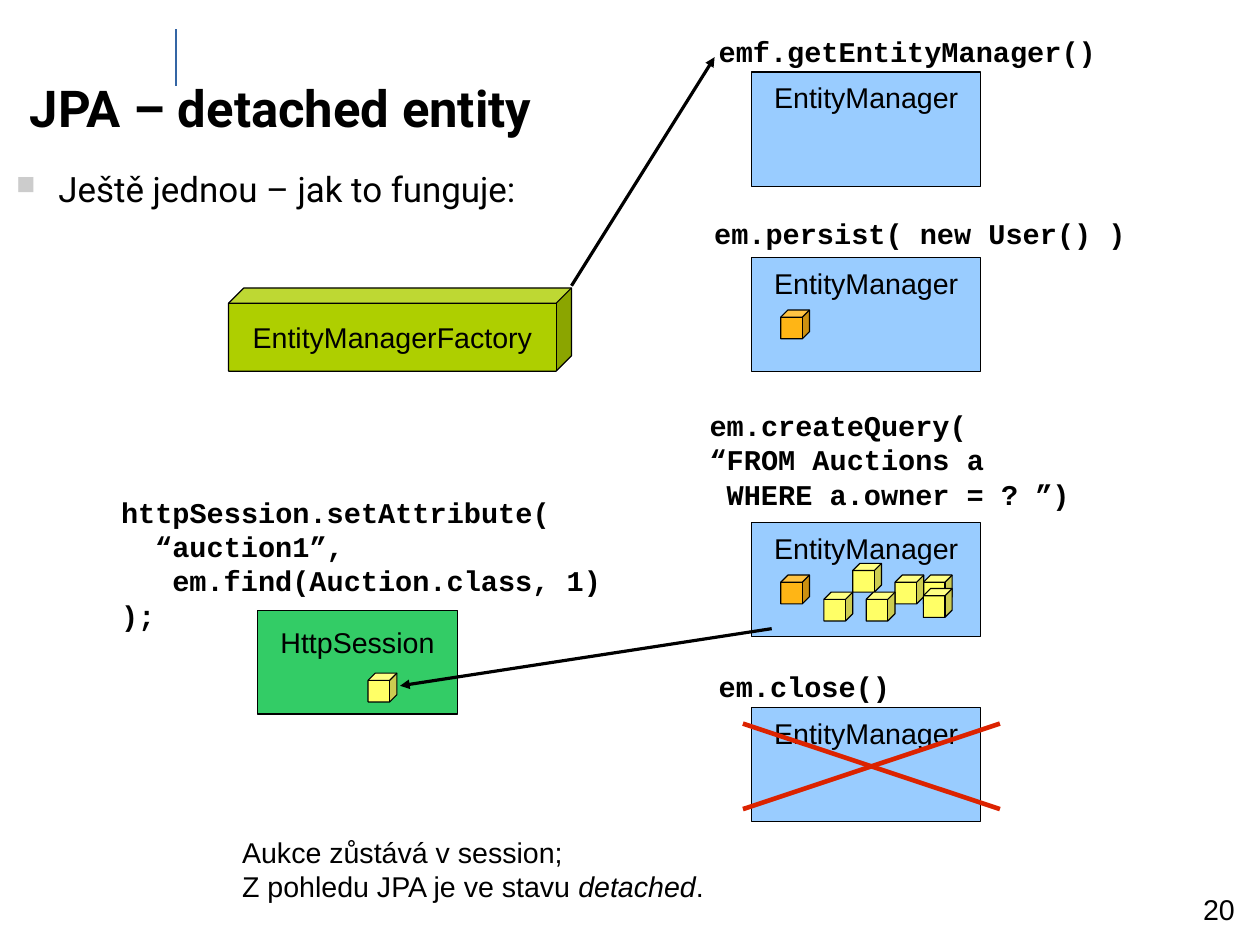
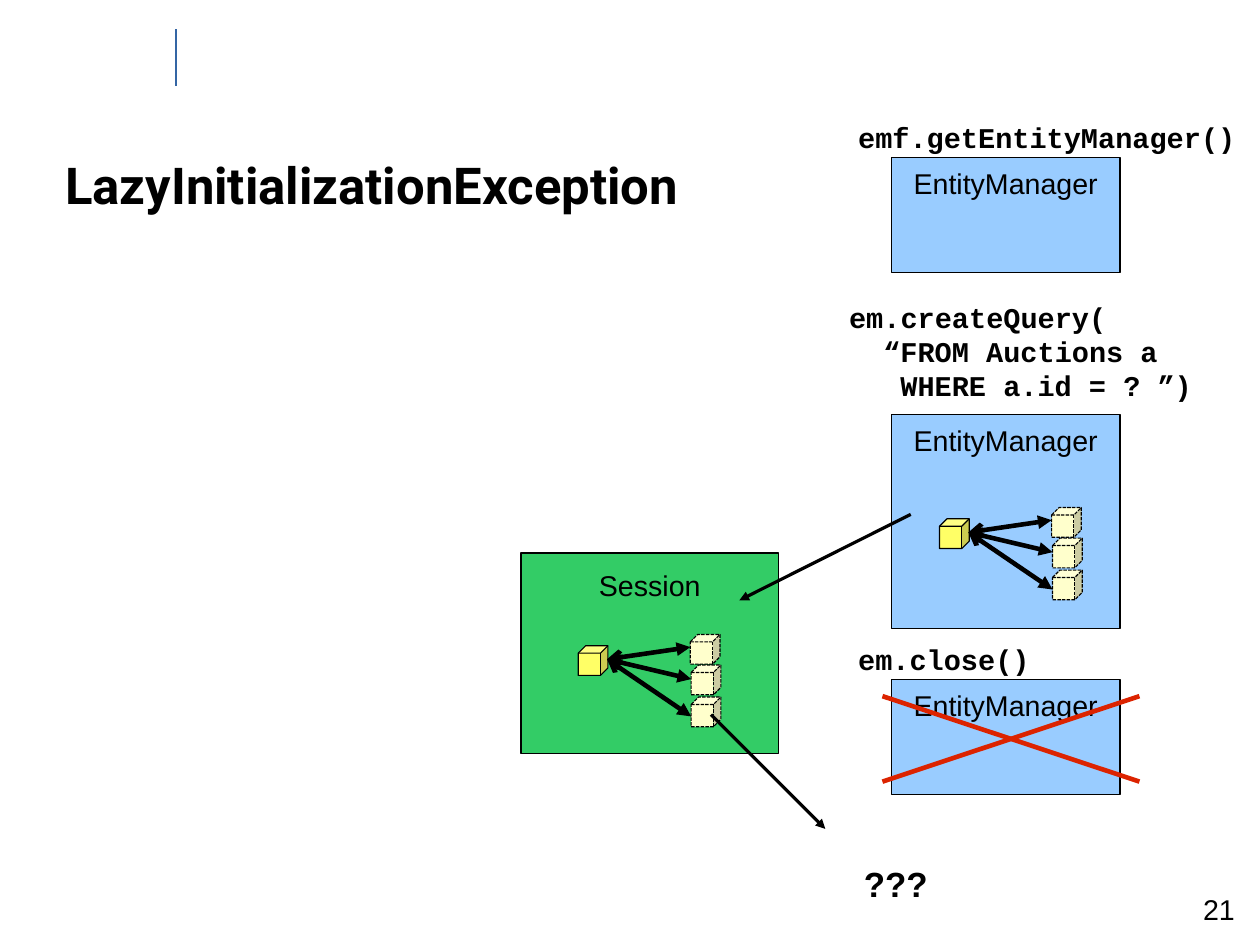
"""Build two slides on detached JPA entities and lazy initialization."""
from lxml import etree
from pptx import Presentation
from pptx import util as u
from pptx.dml.color import RGBColor
from pptx.enum import dml, shapes, text
from pptx.oxml.ns import qn

BLACK, WHITE_YELLOW, YELLOW, ORANGE = "000000", "FFFFCC", "FFFF66", "FFB515"
BLUE, GREEN, LIME, RED, RULE, BULLET = "99CCFF", "33CC66", "AECF00", "DC2300", "3465A4", "CCCCCC"
RECTANGLE, CUBE = shapes.MSO_SHAPE.RECTANGLE, shapes.MSO_SHAPE.CUBE
BODY = {"name": "Arial", "size": u.Pt(18)}
CODE = {"name": "Courier New", "size": u.Pt(18), "bold": True}
TITLE = {"name": "Roboto", "size": u.Pt(32), "bold": True}
POINT = {"name": "Roboto", "size": u.Pt(22)}
QUESTION = {"name": "Arial", "size": u.Pt(22), "bold": True}
LEFT, CENTER, RIGHT = text.PP_ALIGN.LEFT, text.PP_ALIGN.CENTER, text.PP_ALIGN.RIGHT
TOP, MIDDLE = text.MSO_ANCHOR.TOP, text.MSO_ANCHOR.MIDDLE
COLUMN = 0.38
FIT = {"word_wrap": False, "auto_size": text.MSO_AUTO_SIZE.SHAPE_TO_FIT_TEXT}
FLUSH = {"margin_left": 0, "margin_top": 0, "margin_right": 0, "margin_bottom": 0}
MANAGER_FRAME = {"vertical_anchor": TOP, "margin_top": u.Cm(0.18)}
SESSION_FRAME = {"vertical_anchor": TOP, "margin_top": u.Cm(0.33)}


def add_block(target, kind, place, lines=(), font=BODY, fill=None, align=LEFT, frame=None, columns=()):
    """Add a filled shape, or a text box when kind is None; *stars* mark italics."""
    box = [u.Cm(length) for length in place]
    if kind is None:
        shape = target.add_textbox(*box)
    else:
        shape = target.add_shape(kind, *box)
        shape.shadow.inherit = False
        shape.fill.solid()
        shape.fill.fore_color.rgb = RGBColor.from_string(fill)
        shape.line.color.rgb = RGBColor.from_string(BLACK)
        shape.line.width = u.Pt(0)
    text_frame = shape.text_frame
    for name, value in {"word_wrap": True, **(frame or {})}.items():
        setattr(text_frame, name, value)
    for index, line in enumerate(lines):
        paragraph = text_frame.add_paragraph() if index else text_frame.paragraphs[0]
        paragraph.alignment = align
        if columns:
            indent = u.Cm(columns[index] * COLUMN)
            paragraph._p.get_or_add_pPr().set("marL", str(indent))
        for position, part in enumerate(line.split("*")):
            run = paragraph.add_run()
            run.text = part
            run.font.color.rgb = RGBColor.from_string(BLACK)
            for name, value in {**font, "italic": position % 2 == 1}.items():
                setattr(run.font, name, value)
    return shape


def add_line(target, start, end, color=BLACK, width=0, head=None, tail=None):
    """Add a straight line with optional arrowheads at its start and end."""
    points = [u.Cm(length) for length in (*start, *end)]
    connector = target.add_connector(shapes.MSO_CONNECTOR.STRAIGHT, *points)
    connector.line.color.rgb = RGBColor.from_string(color)
    connector.line.width = u.Pt(width)
    for tag, arrow in (("a:headEnd", head), ("a:tailEnd", tail)):
        if arrow:
            etree.SubElement(connector.line._get_or_add_ln(), qn(tag), type=arrow)
    etree.SubElement(connector._element.spPr, qn("a:effectLst"))


presentation = Presentation()
presentation.slide_width, presentation.slide_height = u.Cm(28), u.Cm(21)

pages = [
    {
        "number": "20",
        "title": ("JPA – detached entity", 0.66, 0.76),
        "managers": (16.71, [(1.6, 2.54), (5.72, 2.54), (11.61, 2.54), (15.72, 2.54)]),
        "code": [
            ((15.72, 0.64, 8.89, 0.97), ["emf.getEntityManager()"], (0,)),
            ((15.62, 4.67, 9.65, 0.97), ["em.persist( new User() )"], (0,)),
            ((15.52, 8.94, 8.51, 2.41),
             ["em.createQuery(", "“FROM Auctions a", "WHERE a.owner = ? ”)"], (0, 0, 1)),
            ((15.72, 14.73, 4.32, 0.97), ["em.close()"], (0,)),
            ((2.44, 10.87, 11.18, 4.57),
             ["httpSession.setAttribute(", "“auction1”,", "em.find(Auction.class, 1)", ");"],
             (0, 2, 3, 0)),
        ],
        "session": ("HttpSession", (5.72, 13.56, 4.45, 2.31)),
        "arrows": [((12.7, 6.35), (15.88, 1.27)), ((17.15, 13.97), (8.89, 15.24))],
    },
    {
        "number": "21",
        "title": ("LazyInitializationException", 1.45, 2.46),
        "managers": (19.81, [(3.51, 2.54), (9.22, 4.75), (15.11, 2.54)]),
        "code": [
            ((18.82, 2.54, 8.89, 0.97), ["emf.getEntityManager()"], (0,)),
            ((18.62, 6.53, 8.13, 2.41),
             ["em.createQuery(", "“FROM Auctions a", "WHERE a.id = ? ”)"], (0, 2, 3)),
            ((18.82, 14.15, 4.32, 0.97), ["em.close()"], (0,)),
        ],
        "session": ("Session", (11.58, 12.29, 5.72, 4.45)),
        "arrows": [((20.24, 11.43), (16.43, 13.34)), ((15.8, 15.88), (18.34, 18.42))],
    },
]

slides = []
for page in pages:
    slide = presentation.slides.add_slide(presentation.slide_layouts[6])
    slides.append(slide)
    add_block(slide.shapes, None, (25.4, 19.69, 2.29, 0.94), [page["number"]], align=RIGHT)
    add_line(slide.shapes, (3.91, 1.9), (3.91, 0.64), RULE, 1.45)
    title, left, top = page["title"]
    add_block(slide.shapes, None, (left, top, 23.9, 3.25), [title], TITLE,
              frame={**FLUSH, "vertical_anchor": MIDDLE})
    left, rows = page["managers"]
    for top, height in rows:
        add_block(slide.shapes, RECTANGLE, (left, top, 5.08, height), ["EntityManager"],
                  fill=BLUE, align=CENTER, frame=MANAGER_FRAME)
    cross_left, cross_right, cross_top, cross_bottom = left - 0.2, left + 5.51, top + 0.36, top + 2.26
    add_line(slide.shapes, (cross_left, cross_bottom), (cross_right, cross_top), RED, 2.89)
    add_line(slide.shapes, (cross_left, cross_top), (cross_right, cross_bottom), RED, 2.89)
    for place, lines, columns in page["code"]:
        add_block(slide.shapes, None, place, lines, CODE, frame=FIT, columns=columns)
    name, place = page["session"]
    add_block(slide.shapes, RECTANGLE, place, [name], fill=GREEN, align=CENTER, frame=SESSION_FRAME)

detached, lazy = slides
point = add_block(detached.shapes, None, (0.36, 3.73, 23.9, 1.14),
                  ["Ještě jednou – jak to funguje:"], POINT, frame=FLUSH)
paragraph = point.text_frame.paragraphs[0]
paragraph.space_before = u.Pt(7.6)
properties = paragraph._p.get_or_add_pPr()
properties.set("marL", str(u.Cm(0.94)))
properties.set("indent", str(u.Cm(-0.94)))
bullet_color = etree.SubElement(properties, qn("a:buClr"))
etree.SubElement(bullet_color, qn("a:srgbClr"), val=BULLET)
etree.SubElement(properties, qn("a:buSzPct"), val="75000")
etree.SubElement(properties, qn("a:buChar"), char="■")

factory = add_block(detached.shapes, CUBE, (5.08, 6.4, 7.62, 1.85), ["EntityManagerFactory"],
                    fill=LIME, align=CENTER, frame={"vertical_anchor": MIDDLE})
factory.adjustments[0] = 0.184

manager_left, rows = pages[0]["managers"]
persist_top, query_top = rows[1][0], rows[2][0]
entities = [
    (persist_top, 0.64, 1.17, ORANGE),
    (query_top, 0.64, 1.17, ORANGE),
    (query_top, 1.6, 1.55, YELLOW),
    (query_top, 3.81, 1.17, YELLOW),
    (query_top, 3.18, 1.17, YELLOW),
    (query_top, 3.81, 1.47, YELLOW),
    (query_top, 2.24, 0.91, YELLOW),
    (query_top, 2.54, 1.55, YELLOW),
]
for top, across, down, color in entities:
    add_block(detached.shapes, CUBE, (manager_left + across, top + down, 0.64, 0.64), fill=color)
add_block(detached.shapes, None, (5.13, 18.42, 10.77, 1.68),
          ["Aukce zůstává v session;", "Z pohledu JPA je ve stavu *detached*."], frame=FIT)

for left, top in ((20.88, 11.53), (12.85, 14.35)):
    group = lazy.shapes.add_group_shape().shapes
    add_block(group, CUBE, (left, top, 0.66, 0.66), fill=YELLOW)
    for across, down, target in ((2.49, -0.25, 0.03), (2.51, 0.43, 0.74), (2.51, 1.14, 1.57)):
        proxy = add_block(group, CUBE, (left + across, top + down, 0.66, 0.66), fill=WHITE_YELLOW)
        proxy.line.dash_style = dml.MSO_LINE.SQUARE_DOT
        add_line(group, (left + 0.64, top + 0.3), (left + across, top + target),
                 width=2.89, head="arrow", tail="triangle")
add_block(lazy.shapes, None, (18.95, 19.05, 1.93, 1.12), ["???"], QUESTION, frame=FIT)

for slide, page in zip(slides, pages):
    for start, end in page["arrows"]:
        add_line(slide.shapes, start, end, tail="triangle")
add_block(detached.shapes, CUBE, (8.18, 14.96, 0.64, 0.64), fill=YELLOW)

presentation.save("out.pptx")
